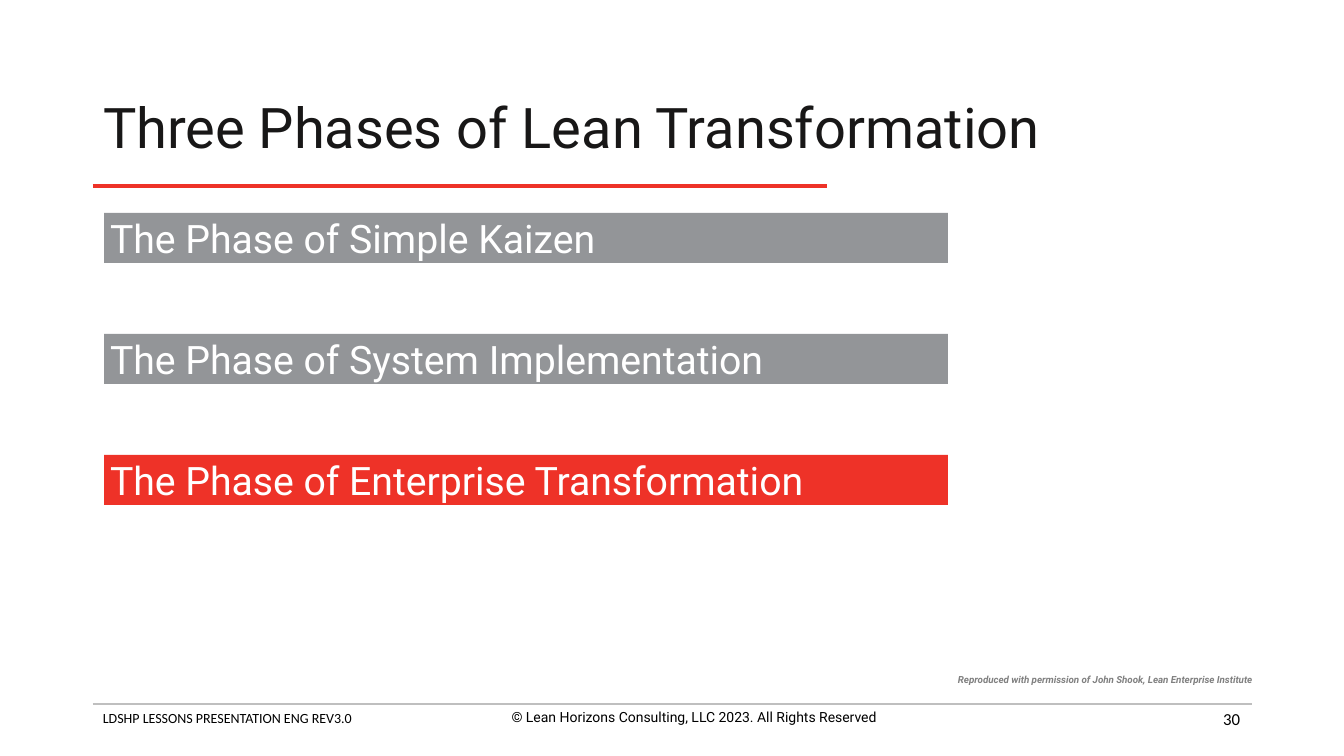
from dataclasses import dataclass

from lxml.etree import SubElement
from pptx import Presentation
from pptx.dml.color import RGBColor
from pptx.enum.shapes import MSO_CONNECTOR, MSO_SHAPE
from pptx.enum.text import MSO_ANCHOR, PP_ALIGN
from pptx.oxml.ns import qn
from pptx.util import Pt


@dataclass(frozen=True)
class Theme:
    red: str = "EE3228"
    gray: str = "939598"
    rule: str = "BFBFBF"
    ink: str = "181717"
    black: str = "000000"
    white: str = "FFFFFF"
    credit: str = "808080"
    heading_font: str = "Roboto"
    footer_font: str = "Calibri"
    title_size: int = 40
    phase_size: int = 28
    number_size: int = 12
    footer_size: int = 10
    credit_size: int = 7


THEME = Theme()
EMU_PER_PX = 12192000 / 1344

TITLE = "Three Phases of Lean Transformation"
TITLE_BOX = (93, 75, 1159, 111)
PHASES = [
    ("The Phase of Simple Kaizen", THEME.gray),
    ("The Phase of System Implementation", THEME.gray),
    ("The Phase of Enterprise Transformation", THEME.red),
]
BAR_LEFT, BAR_TOP, BAR_WIDTH, BAR_HEIGHT, BAR_STEP = 104, 213, 844, 50, 121
RULES = [
    (93, 1252, 704, THEME.rule, 2),
    (93, 827, 186, THEME.red, 3),
]
SMALL_TEXTS = [
    ("LDSHP LESSONS PRESENTATION ENG REV3.0", (93, 705, 460, 27),
     dict(name=THEME.footer_font, size=THEME.footer_size, color=THEME.black), {}, {}),
    ("© Lean Horizons Consulting, LLC 2023. All Rights Reserved", (464, 704, 460, 44),
     dict(name=THEME.heading_font, size=THEME.footer_size, color=THEME.black),
     dict(alignment=PP_ALIGN.CENTER), {}),
    ("30", (948, 699, 302, 40),
     dict(name=THEME.footer_font, size=THEME.number_size, color=THEME.black),
     dict(alignment=PP_ALIGN.RIGHT), dict(vertical_anchor=MSO_ANCHOR.MIDDLE)),
    ("Reproduced with permission of John Shook, Lean Enterprise Institute",
     (948, 671, 325, 20),
     dict(name=THEME.heading_font, size=THEME.credit_size, color=THEME.credit,
          bold=True, italic=True),
     dict(line_spacing=0.8), {}),
]


def px(value):
    return round(value * EMU_PER_PX)


def set_values(target, values):
    for name, value in values.items():
        setattr(target, name, value)


def write(shape, text, font, paragraph_format, frame_format):
    frame = shape.text_frame
    set_values(frame, {"word_wrap": True, **frame_format})
    paragraph = frame.paragraphs[0]
    set_values(paragraph, {"alignment": PP_ALIGN.LEFT, **paragraph_format})
    run = paragraph.add_run()
    run.text = text
    values = dict(font)
    run.font.color.rgb = RGBColor.from_string(values.pop("color"))
    values["size"] = Pt(values["size"])
    set_values(run.font, values)


def add_rule(slide, left, right, y, color, width):
    rule = slide.shapes.add_connector(
        MSO_CONNECTOR.STRAIGHT, px(left), px(y), px(right), px(y))
    rule.line.color.rgb = RGBColor.from_string(color)
    rule.line.width = Pt(width)
    SubElement(rule._element.spPr, qn("a:effectLst"))


def add_phase(slide, index, text, color):
    top = BAR_TOP + index * BAR_STEP
    bar = slide.shapes.add_shape(
        MSO_SHAPE.RECTANGLE, px(BAR_LEFT), px(top), px(BAR_WIDTH), px(BAR_HEIGHT))
    bar.shadow.inherit = False
    bar.fill.solid()
    bar.fill.fore_color.rgb = RGBColor.from_string(color)
    bar.line.fill.background()
    sides = ("margin_left", "margin_top", "margin_right", "margin_bottom")
    write(bar, text,
          dict(name=THEME.heading_font, size=THEME.phase_size, color=THEME.white),
          {}, {"vertical_anchor": MSO_ANCHOR.MIDDLE, **dict.fromkeys(sides, px(6))})


def main():
    presentation = Presentation()
    set_values(presentation, dict(slide_width=px(1344), slide_height=px(756)))
    slide = presentation.slides.add_slide(presentation.slide_layouts[5])

    title = slide.shapes.title
    set_values(title, dict(zip(("left", "top", "width", "height"), map(px, TITLE_BOX))))
    write(title, TITLE,
          dict(name=THEME.heading_font, size=THEME.title_size, color=THEME.ink),
          dict(line_spacing=0.9), dict(vertical_anchor=MSO_ANCHOR.MIDDLE))

    for rule in RULES:
        add_rule(slide, *rule)
    for index, (text, color) in enumerate(PHASES):
        add_phase(slide, index, text, color)
    for text, box, font, paragraph_format, frame_format in SMALL_TEXTS:
        text_box = slide.shapes.add_textbox(*map(px, box))
        write(text_box, text, font, paragraph_format, frame_format)

    presentation.save("out.pptx")


if __name__ == "__main__":
    main()
